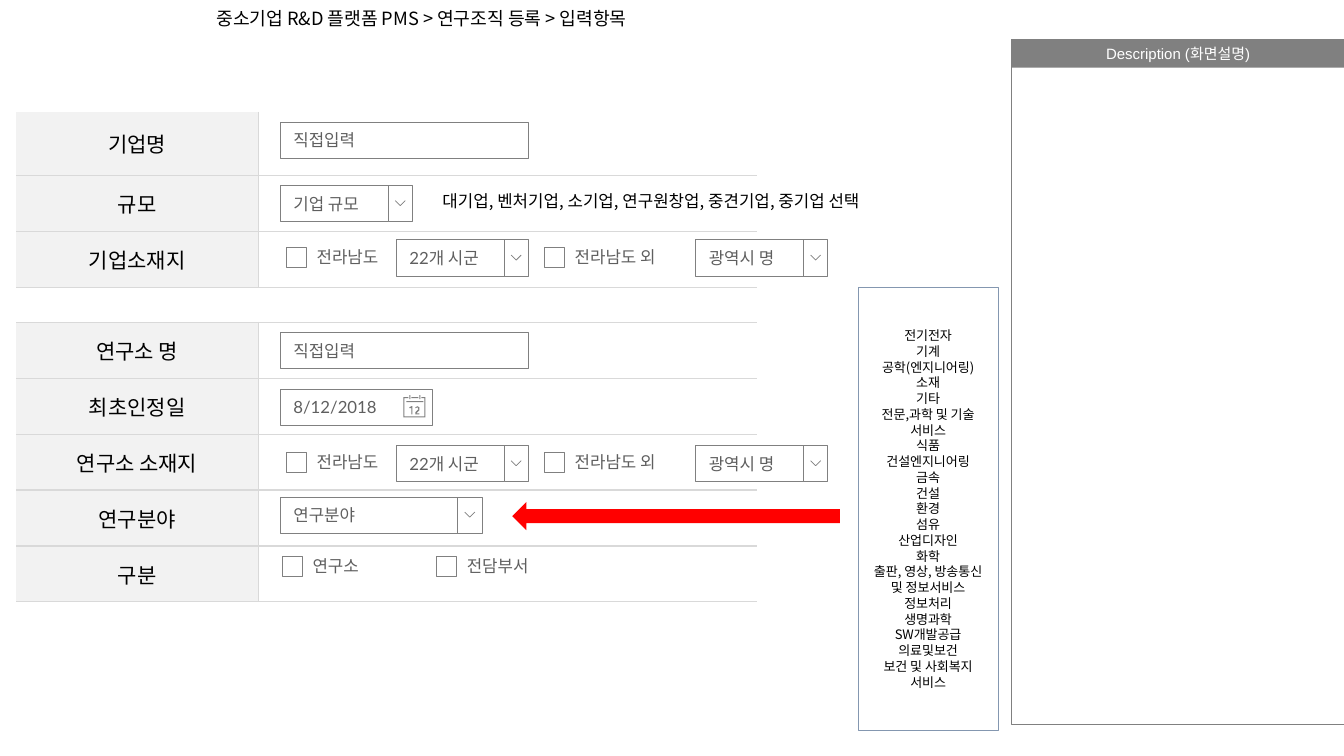
from pptx import Presentation
from pptx.dml.color import RGBColor
from pptx.enum.shapes import MSO_SHAPE
from pptx.enum.text import MSO_ANCHOR, PP_ALIGN
from pptx.oxml import parse_xml
from pptx.oxml.ns import nsdecls, qn
from pptx.util import Inches, Pt

NOTO, LATO = "Noto Sans CJK KR", "Lato"
GRAY, INK, RULE = "808080", "5F5F5F", "D9D9D9"
TITLE = "중소기업 R&D 플랫폼 PMS > 연구조직 등록 > 입력항목"
SIZES = "대기업, 벤처기업, 소기업, 연구원창업, 중견기업, 중기업 선택"

# top, first row height, other row height, top rule shown, labels
TABLES = [
    (1.11, 0.63, 1.11 / 2, False, ["기업명", "규모", "기업소재지"]),
    (3.2, 2.77 / 5, 2.77 / 5, True,
     ["연구소 명", "최초인정일", "연구소 소재지", "연구분야", "구분"]),
]
FIELDS = [(2.78, 1.21, 2.46, "직접입력"), (2.78, 3.3, 2.46, "직접입력")]
# left, top, width of the text part, text
DROPS = [(2.78, 1.84, 1.07, "기업 규모"), (2.78, 4.93, 1.76, "연구분야")]
# left, top, label width, text
CHECKS = [(2.8, 5.52, 0.72, "연구소"), (4.33, 5.52, 0.89, "전담부서")]
for top in (2.38, 4.42):
    DROPS += [(3.93, top, 1.07, "22개 시군"), (6.9, top, 1.07, "광역시 명")]
    CHECKS += [(2.84, top + 0.07, 0.89, "전라남도"),
               (5.4, top + 0.07, 1.1, "전라남도 외")]
AREAS = [
    "전기전자", "기계", "공학(엔지니어링)", "소재", "기타",
    "전문,과학 및 기술 서비스", "식품", "건설엔지니어링", "금속", "건설",
    "환경", "섬유", "산업디자인", "화학", "출판, 영상, 방송통신 및 정보서비스",
    "정보처리", "생명과학", "SW개발공급", "의료및보건", "보건 및 사회복지", "서비스",
]
# calendar outlines in hundredths of an inch
ICON = [
    [(6, 0), (6, 4), (7, 4), (7, 0)],
    [(16, 0), (16, 4), (17, 4), (17, 0)],
    [(0, 2), (0, 22), (22, 22), (22, 2), (18, 2), (18, 3), (21, 3),
     (21, 21), (1, 21), (1, 3), (5, 3), (5, 2)],
    [(8, 2), (8, 3), (15, 3), (15, 2)],
    [(3, 6), (3, 7), (20, 7), (20, 6)],
    [(6, 12), (8, 11), (9, 11), (9, 19), (8, 19), (8, 13), (6, 13)],
    [(12, 12), (14, 11), (16, 12), (16, 15), (13, 18), (16, 18), (16, 19),
     (12, 19), (12, 17), (15, 14), (14, 12), (12, 13)],
]


def color(code):
    return RGBColor.from_string(code)


def paint(shape, fill=None, line=None, width=0.5):
    shape.shadow.inherit = False
    if fill:
        shape.fill.solid()
        shape.fill.fore_color.rgb = color(fill)
    else:
        shape.fill.background()
    if line:
        shape.line.color.rgb = color(line)
        shape.line.width = Pt(width)
    else:
        shape.line.fill.background()
    return shape


def box(shapes, x, y, w, h, kind=MSO_SHAPE.RECTANGLE, **look):
    shape = shapes.add_shape(kind, Inches(x), Inches(y), Inches(w), Inches(h))
    return paint(shape, **look)


def label(shapes, x, y, w, h):
    return shapes.add_textbox(Inches(x), Inches(y), Inches(w), Inches(h))


def write(frame, lines, size, font, ink, align=PP_ALIGN.LEFT, space=None):
    for i, line in enumerate(lines):
        para = frame.add_paragraph() if i else frame.paragraphs[0]
        para.alignment = align
        if space:
            para.line_spacing = space
        run = para.add_run()
        run.text = line
        run.font.size = Pt(size)
        run.font.name = font
        run.font.color.rgb = color(ink)
        east = parse_xml(f'<a:ea {nsdecls("a")} typeface="{NOTO}"/>')
        run._r.get_or_add_rPr().find(qn("a:latin")).addnext(east)


def fit(frame, side=0.1, edge=0.05, wrap=True, anchor=MSO_ANCHOR.MIDDLE):
    """Set the insets, wrapping and anchor of a text frame."""
    frame.margin_left = frame.margin_right = Inches(side)
    frame.margin_top = frame.margin_bottom = Inches(edge)
    frame.word_wrap = wrap
    frame.vertical_anchor = anchor
    return frame


def field(shapes, x, y, w, text):
    shape = box(shapes, x, y, w, 0.36, fill="FFFFFF", line=GRAY)
    frame = fit(shape.text_frame, 0.13, 0.07)
    write(frame, [text], 12, LATO, INK)
    return frame


def drop(shapes, x, y, w, text):
    group = shapes.add_group_shape().shapes
    field(group, x, y, w, text)
    box(group, x + w, y, 0.24, 0.36, fill="FFFFFF", line=GRAY)
    pen = group.build_freeform(10, 0, Inches(0.01))
    pen.add_line_segments([(5, 5), (0, 0)], close=False)
    mark = pen.convert_to_shape(Inches(x + w + 0.07), Inches(y + 0.15))
    paint(mark, fill="FFFFFF", line=GRAY)


def check(shapes, x, y, w, text):
    group = shapes.add_group_shape().shapes
    box(group, x, y, 0.2, 0.2, fill="FFFFFF", line=GRAY)
    frame = label(group, x + 0.19, y - 0.06, w, 0.31).text_frame
    write(fit(frame, 0.11, wrap=False), [text], 12, LATO, INK)


def date(shapes, x, y):
    group = shapes.add_group_shape().shapes
    frame = field(group, x, y, 1.51, "8/12/2018")
    frame.margin_right = Inches(0.33)
    pen = group.build_freeform(*ICON[0][0], Inches(0.01))
    for i, part in enumerate(ICON):
        if i:
            pen.move_to(*part[0])
        pen.add_line_segments(part[1:], close=True)
    icon = pen.convert_to_shape(Inches(x + 1.22), Inches(y + 0.06))
    paint(icon, fill=GRAY)


def edges(cell, shown):
    """Draw the cell borders named in shown and hide the others."""
    props = cell._tc.get_or_add_tcPr()
    for i, side in enumerate("LRTB"):
        fill = (f'<a:solidFill><a:srgbClr val="{RULE}"/></a:solidFill>'
                if side in shown else "<a:noFill/>")
        props.insert(i, parse_xml(
            f'<a:ln{side} {nsdecls("a")} w="12700">{fill}</a:ln{side}>'))


def grid(shapes, top, first, rest, ruled, names):
    count = len(names)
    high = first + rest * (count - 1)
    table = shapes.add_table(count, 2, Inches(0.16), Inches(top),
                             Inches(7.35), Inches(high)).table
    table.first_row = table.horz_banding = False
    table.columns[0].width, table.columns[1].width = Inches(2.4), Inches(4.95)
    for i, name in enumerate(names):
        table.rows[i].height = Inches(rest if i else first)
        above = "T" if i or ruled else ""
        head, body = table.cell(i, 0), table.cell(i, 1)
        head.fill.solid()
        head.fill.fore_color.rgb = color("F2F2F2")
        body.fill.background()
        edges(head, "RB" + above)
        edges(body, "LB" + above)
        head.vertical_anchor = MSO_ANCHOR.MIDDLE
        head.margin_left = head.margin_right = Inches(0.13)
        head.margin_top = head.margin_bottom = Inches(0.07)
        write(head.text_frame, [name], 15, NOTO, "000000", PP_ALIGN.CENTER)


def main():
    deck = Presentation()
    deck.slide_width, deck.slide_height = Inches(13.33), Inches(7.5)
    shapes = deck.slides.add_slide(deck.slide_layouts[6]).shapes

    bar = box(shapes, 10.03, 0.39, 3.31, 0.28, fill=GRAY)
    write(fit(bar.text_frame, 0.11, 0.06, False), ["Description (화면설명)"],
          10.7, "Arial", "FFFFFF", PP_ALIGN.CENTER)
    box(shapes, 10.03, 0.39, 3.31, 6.8, line=GRAY, width=0.75)
    title = label(shapes, 2.05, 0, 7.87, 0.39)
    write(fit(title.text_frame), [TITLE], 13, NOTO, "000000", space=0.9)

    for item in TABLES:
        grid(shapes, *item)
    for draw, items in ((field, FIELDS), (drop, DROPS), (check, CHECKS)):
        for item in items:
            draw(shapes, *item)
    date(shapes, 2.78, 3.86)

    sizes = label(shapes, 4.29, 1.84, 4.78, 0.3)
    write(fit(sizes.text_frame, wrap=False, anchor=MSO_ANCHOR.TOP),
          [SIZES], 12, NOTO, "000000")
    areas = box(shapes, 8.51, 2.85, 1.39, 4.39,
                fill="FFFFFF", line="8497B0", width=0.25)
    write(fit(areas.text_frame), AREAS, 9.3, NOTO, "000000",
          PP_ALIGN.CENTER, Pt(11.25))
    arrow = box(shapes, 5.08, 4.98, 3.25, 0.28, MSO_SHAPE.RIGHT_ARROW,
                fill="FF0000")
    arrow.rotation = 180
    deck.save("out.pptx")


if __name__ == "__main__":
    main()
